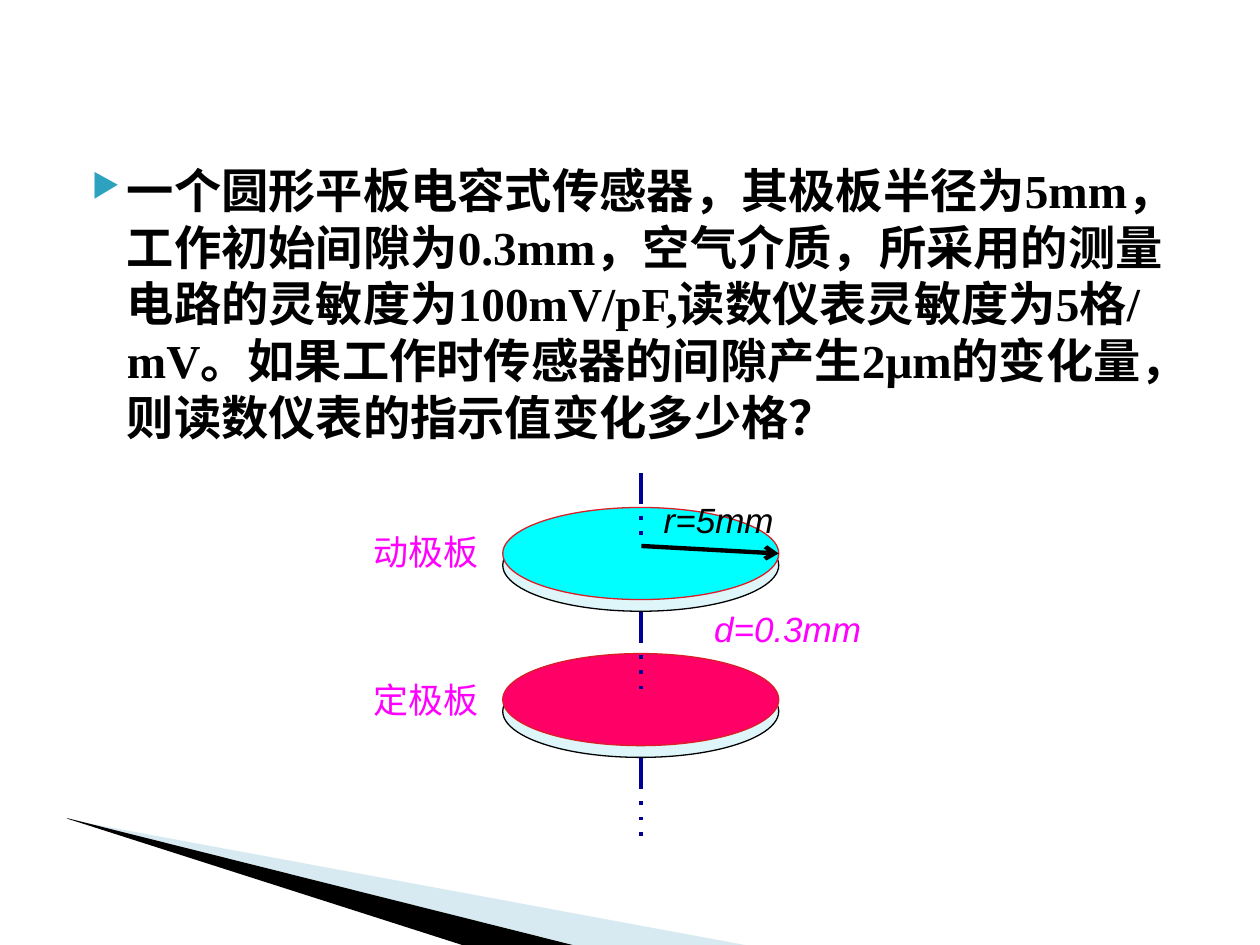
from dataclasses import dataclass

from lxml import etree
from pptx import Presentation
from pptx import util as u
from pptx.dml.color import RGBColor
from pptx.enum import dml, shapes, text
from pptx.oxml import ns, parse_xml

Pt = u.Pt
BLACK = RGBColor(0x00, 0x00, 0x00)
PALE_BLUE = RGBColor(0x9F, 0xCB, 0xDC)
RIM_BLUE = RGBColor(0xDE, 0xF5, 0xFA)
CYAN = RGBColor(0x00, 0xFF, 0xFF)
CRIMSON = RGBColor(0xFF, 0x00, 0x66)
RED = RGBColor(0xDA, 0x1F, 0x28)
MAGENTA = RGBColor(0xFF, 0x00, 0xFF)
NAVY = RGBColor(0x00, 0x00, 0x99)

PLATE_LEFT, PLATE_TOP, PLATE_W, PLATE_H = 287.3, 290, 157.7, 52.6
PLATE_STEP, RIM_DROP = 83.5, 6.7
AXIS_X = 366.5

QUESTION = (
    "一个圆形平板电容式传感器，其极板半径为5mm，工作初始间隙为0.3mm，"
    "空气介质，所采用的测量电路的灵敏度为100mV/pF,读数仪表灵敏度为5格/mV。"
    "如果工作时传感器的间隙产生2μm的变化量，则读数仪表的指示值变化多少格？"
)


@dataclass
class Wedge:
    points: list[tuple[float, float]]
    color: RGBColor
    opacity: int = 100


@dataclass
class Label:
    text: str
    left: float
    top: float
    width: float
    height: float
    color: RGBColor
    italic: bool = False


@dataclass
class Line:
    x1: float
    y1: float
    x2: float
    y2: float
    color: RGBColor
    width: float
    dashed: bool = False
    arrow: bool = False


WEDGES = [
    Wedge([(39.6, 468.5), (428.4, 540.5), (328.3, 540.5), (39.6, 468)], PALE_BLUE, 40),
    Wedge([(38.2, 467.5), (329, 540.5), (267.8, 541.2), (38.9, 468)], BLACK),
]
PLATE_COLORS = [CYAN, CRIMSON]
LABELS = [
    Label("动极板", 206.5, 299.5, 82.5, 42, MAGENTA),
    Label("定极板", 206.5, 384, 82.5, 40, MAGENTA),
    Label("r=5mm", 372.2, 281.5, 96.5, 42, BLACK, True),
    Label("d=0.3mm", 401, 343.5, 101, 34, MAGENTA, True),
]
LINES = [Line(AXIS_X, y1, AXIS_X, y2, NAVY, 2.25, dashed=True)
         for y1, y2 in [(270, 312), (349.5, 394), (433, 478)]]
LINES.append(Line(AXIS_X, 312, PLATE_LEFT + PLATE_W, 316.3, BLACK, 2.5, arrow=True))


def draw_wedge(s, wedge: Wedge) -> None:
    points = [(Pt(x), Pt(y)) for x, y in wedge.points]
    builder = s.shapes.build_freeform(*points[0])
    builder.add_line_segments(points[1:], close=True)
    sp = builder.convert_to_shape()
    sp.shadow.inherit = False
    sp.fill.solid()
    sp.fill.fore_color.rgb = wedge.color
    sp.line.fill.background()
    if wedge.opacity < 100:
        color = sp._element.spPr.find(".//" + ns.qn("a:srgbClr"))
        etree.SubElement(color, ns.qn("a:alpha"), val=str(wedge.opacity * 1000))


def draw_ellipse(s, top: float, fill: RGBColor, line: RGBColor) -> None:
    sp = s.shapes.add_shape(shapes.MSO_SHAPE.OVAL, Pt(PLATE_LEFT), Pt(top),
                            Pt(PLATE_W), Pt(PLATE_H))
    sp.shadow.inherit = False
    sp.fill.solid()
    sp.fill.fore_color.rgb = fill
    sp.line.color.rgb = line
    sp.line.width = Pt(0.75)


def draw_line(s, line: Line) -> None:
    sp = s.shapes.add_connector(shapes.MSO_CONNECTOR.STRAIGHT, Pt(line.x1), Pt(line.y1),
                                Pt(line.x2), Pt(line.y2))
    sp.line.color.rgb = line.color
    sp.line.width = Pt(line.width)
    if line.dashed:
        sp.line.dash_style = dml.MSO_LINE.DASH_DOT_DOT
    if line.arrow:
        ln = sp._element.spPr.find(ns.qn("a:ln"))
        etree.SubElement(ln, ns.qn("a:tailEnd"), type="arrow")
    etree.SubElement(sp._element.spPr, ns.qn("a:effectLst"))


def add_text_box(s, left: float, top: float, width: float, height: float):
    tf = s.shapes.add_textbox(Pt(left), Pt(top), Pt(width), Pt(height)).text_frame
    tf.word_wrap = True
    return tf.paragraphs[0]


def add_run(p, words: str, size: float, font: str, color: RGBColor,
            bold: bool = False, italic: bool = False) -> None:
    r = p.add_run()
    r.text = words
    r.font.size = Pt(size)
    r.font.name = font
    r.font.color.rgb = color
    r.font.bold = bold
    r.font.italic = italic


def draw_label(s, label: Label) -> None:
    p = add_text_box(s, label.left, label.top, label.width, label.height)
    p.alignment = text.PP_ALIGN.JUSTIFY if label.italic else text.PP_ALIGN.LEFT
    add_run(p, label.text, 20, "Arial", label.color, italic=label.italic)


def draw_question(s) -> None:
    p = add_text_box(s, 36.7, 88.5, 648, 356.5)
    pPr = p._p.get_or_add_pPr()
    pPr.set("marL", str(Pt(28.8)))
    pPr.set("indent", str(Pt(-20.2)))
    xmlns = ns.nsdecls("a")
    for bullet in (f'<a:buClr {xmlns}><a:srgbClr val="2DA2BF"/></a:buClr>',
                   f'<a:buSzPct {xmlns} val="68000"/>',
                   f'<a:buChar {xmlns} char="▶"/>'):
        pPr.append(parse_xml(bullet))
    add_run(p, QUESTION, 27, "Times New Roman", BLACK, bold=True)


def main() -> None:
    prs = Presentation()
    prs.slide_width, prs.slide_height = Pt(720), Pt(540)
    s = prs.slides.add_slide(prs.slide_layouts[6])

    # Corner decoration
    for wedge in WEDGES:
        draw_wedge(s, wedge)

    # Question
    draw_question(s)

    # Capacitor plates, each with a rim below its face
    for i, color in enumerate(PLATE_COLORS):
        top = PLATE_TOP + i * PLATE_STEP
        draw_ellipse(s, top + RIM_DROP, RIM_BLUE, BLACK)
        draw_ellipse(s, top, color, RED)

    # Axis, radius arrow and labels
    for line in LINES:
        draw_line(s, line)
    for label in LABELS:
        draw_label(s, label)

    prs.save("out.pptx")


if __name__ == "__main__":
    main()
